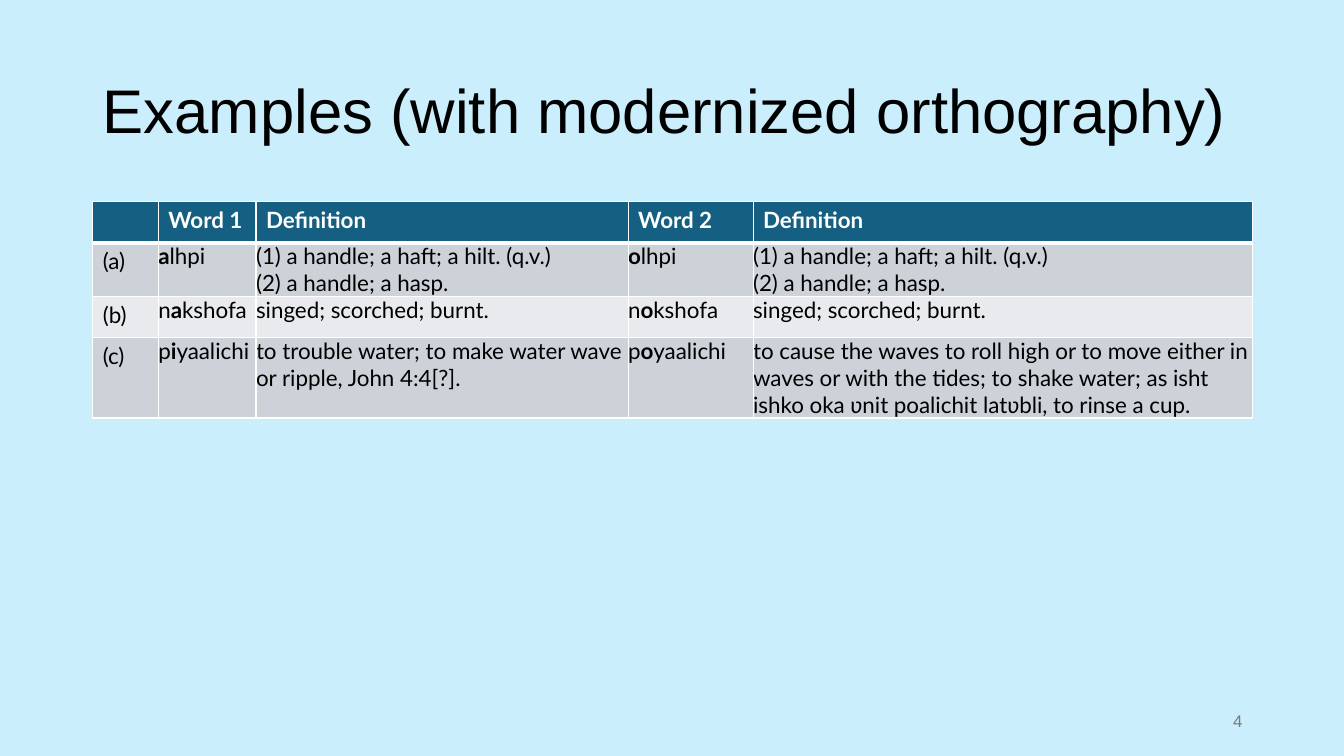
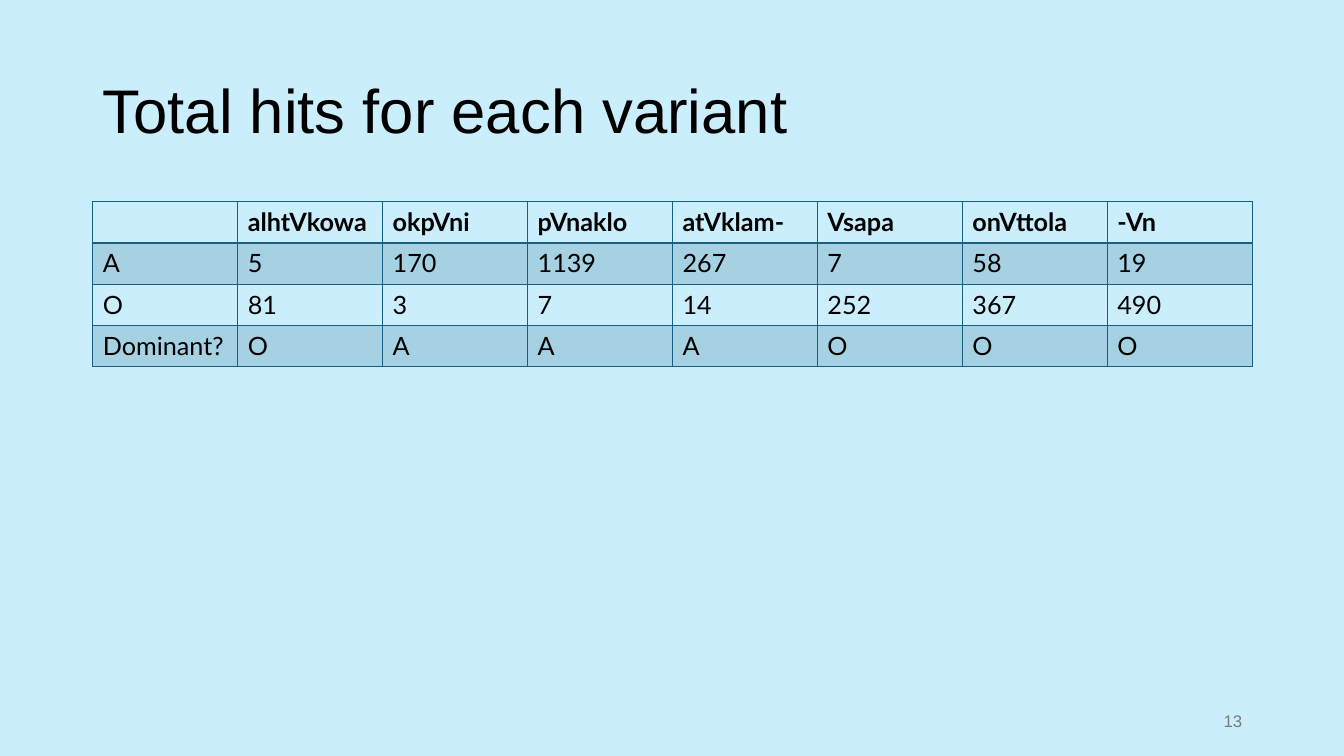
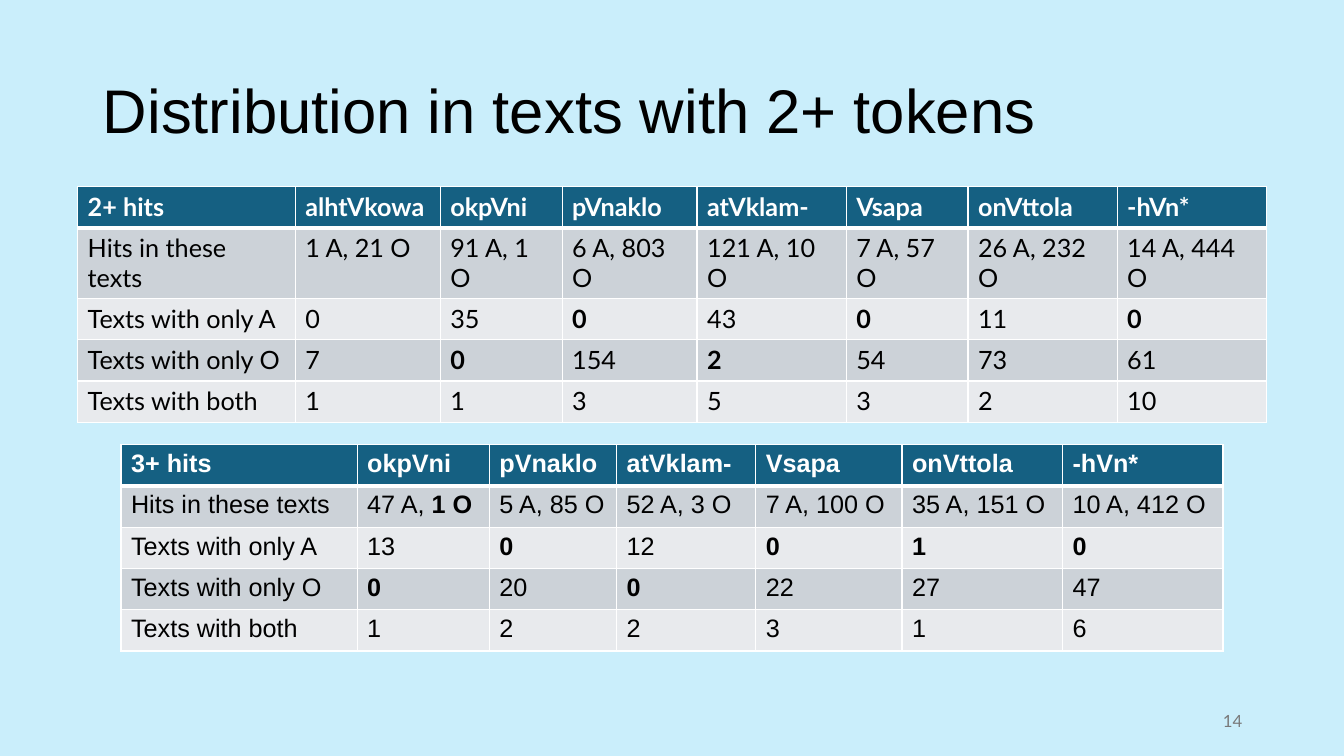
"""Builds three slides of tables on word variants and their hits."""
from lxml.etree import SubElement
from pptx import Presentation
from pptx.dml.color import RGBColor
from pptx.enum.text import MSO_ANCHOR, MSO_AUTO_SIZE, PP_ALIGN
from pptx.oxml.ns import qn
from pptx.util import Emu, Pt

EMU_PER_PX = 9144
SKY = RGBColor(0xCA, 0xEE, 0xFB)
TEAL = RGBColor(0x15, 0x60, 0x82)
BAND_DARK = RGBColor(0xCC, 0xD2, 0xD8)
BAND_LIGHT = RGBColor(0xE8, 0xEA, 0xED)
WHITE = RGBColor(0xFF, 0xFF, 0xFF)
BLACK = RGBColor(0, 0, 0)
GREY = RGBColor(0x79, 0x79, 0x79)

ROW_HEIGHT = 41
TITLE_BOX = (92, 40, 1150, 145)
NUMBER_BOX = (942, 695, 300, 40)
BOLD_MARK = "|"

FILLED = {
    "header": TEAL, "header_text": WHITE, "bands": (BAND_DARK, BAND_LIGHT),
    "alpha": None, "border": WHITE, "header_rule": 3,
}
OUTLINED = {
    "header": None, "header_text": BLACK, "bands": (TEAL, None),
    "alpha": 20, "border": TEAL, "header_rule": 2,
}

HANDLE = "(1) a handle; a haft; a hilt. (q.v.)\n(2) a handle; a hasp."
SINGED = "singed; scorched; burnt."

SLIDES = [
    {
        "title": "Examples (with modernized orthography)",
        "number": "4", "number_font": "Arial",
        "tables": [{
            "at": (92, 200), "width": 1150, "columns": [65, 97, 369, 124, 495],
            "style": FILLED, "font": "Lato", "size": 16, "flush": True,
            "rows": [
                ["", "Word 1", "Definition", "Word 2", "Definition"],
                ["(a)", "|a|lhpi", HANDLE, "|o|lhpi", HANDLE],
                ["(b)", "n|a|kshofa", SINGED, "n|o|kshofa", SINGED],
                ["(c)", "p|i|yaalichi",
                 "to trouble water; to make water wave or ripple, John 4:4[?].",
                 "p|o|yaalichi",
                 "to cause the waves to roll high or to move either in waves or "
                 "with the tides; to shake water; as isht ishko oka ʋnit "
                 "poalichit latʋbli, to rinse a cup."],
            ],
        }],
    },
    {
        "title": "Total hits for each variant",
        "number": "13", "number_font": "Arial",
        "tables": [{
            "at": (92, 200), "width": 1150, "columns": [1] * 8,
            "style": OUTLINED, "font": "Lato", "size": 18, "flush": False,
            "rows": [
                ["", "alhtVkowa", "okpVni", "pVnaklo", "atVklam-", "Vsapa", "onVttola", "-Vn"],
                ["A", "5", "170", "1139", "267", "7", "58", "19"],
                ["O", "81", "3", "7", "14", "252", "367", "490"],
                ["Dominant?", "O", "A", "A", "A", "O", "O", "O"],
            ],
        }],
    },
    {
        "title": "Distribution in texts with 2+ tokens",
        "number": "14", "number_font": "Lato",
        "tables": [
            {
                "at": (77, 185), "width": 1179,
                "columns": [216, 144, 121, 134, 148, 121, 148, 148],
                "style": FILLED, "font": "Lato", "size": 18, "flush": False,
                "rows": [
                    ["2+ hits", "alhtVkowa", "okpVni", "pVnaklo", "atVklam-", "Vsapa",
                     "onVttola", "-hVn*"],
                    ["Hits in these texts", "1 A, 21 O", "91 A, 1 O", "6 A, 803 O",
                     "121 A, 10 O", "7 A, 57 O", "26 A, 232 O", "14 A, 444 O"],
                    ["Texts with only A", "0", "35", "|0|", "43", "|0|", "11", "|0|"],
                    ["Texts with only O", "7", "|0|", "154", "|2|", "54", "73", "61"],
                    ["Texts with both", "1", "1", "3", "5", "3", "2", "10"],
                ],
            },
            {
                "at": (120, 441), "width": 1093,
                "columns": [234, 131, 126, 138, 145, 159, 159],
                "style": FILLED, "font": "Arial", "size": 18, "flush": False,
                "rows": [
                    ["3+ hits", "okpVni", "pVnaklo", "atVklam-", "Vsapa", "onVttola", "-hVn*"],
                    ["Hits in these texts", "47 A, |1 O|", "5 A, 85 O", "52 A, 3 O",
                     "7 A, 100 O", "35 A, 151 O", "10 A, 412 O"],
                    ["Texts with only A", "13", "|0|", "12", "|0|", "|1|", "|0|"],
                    ["Texts with only O", "|0|", "20", "|0|", "22", "27", "47"],
                    ["Texts with both", "1", "2", "2", "3", "1", "6"],
                ],
            },
        ],
    },
]


def px(*lengths):
    return [Emu(round(length * EMU_PER_PX)) for length in lengths]


def set_font(paragraph, name, size, color):
    paragraph.font.name = name
    paragraph.font.size = Pt(size)
    paragraph.font.color.rgb = color


def set_borders(cell, color, top, bottom):
    properties = cell._tc.get_or_add_tcPr()
    for side, width in (("L", 1), ("R", 1), ("T", top), ("B", bottom)):
        line = SubElement(properties, qn(f"a:ln{side}"), w=str(Pt(width)))
        fill = SubElement(line, qn("a:solidFill"))
        SubElement(fill, qn("a:srgbClr"), val=str(color))


def set_fill(cell, color, alpha):
    if color is None:
        cell.fill.background()
        return
    cell.fill.solid()
    cell.fill.fore_color.rgb = color
    if alpha is not None:
        color_element = cell._tc.tcPr.find(qn("a:solidFill") + "/" + qn("a:srgbClr"))
        SubElement(color_element, qn("a:alpha"), val=str(alpha * 1000))


def write_cell(cell, text, font, size, color, is_header):
    frame = cell.text_frame
    for index, line in enumerate(text.split("\n")):
        paragraph = frame.add_paragraph() if index else frame.paragraphs[0]
        set_font(paragraph, font, size, color)
        for part, piece in enumerate(line.split(BOLD_MARK)):
            if piece:
                run = paragraph.add_run()
                run.text = piece
                run.font.bold = is_header or part % 2 == 1


def add_data_table(slide, data):
    rows, columns, style = data["rows"], data["columns"], data["style"]
    box = px(*data["at"], data["width"], ROW_HEIGHT * len(rows))
    table = slide.shapes.add_table(len(rows), len(columns), *box).table
    for column, share in zip(table.columns, columns):
        column.width = px(data["width"] * share / sum(columns))[0]
    for row_index, texts in enumerate(rows):
        is_header = row_index == 0
        table.rows[row_index].height = px(ROW_HEIGHT)[0]
        fill = style["header"] if is_header else style["bands"][(row_index - 1) % 2]
        color = style["header_text"] if is_header else BLACK
        top = style["header_rule"] if row_index == 1 else 1
        bottom = style["header_rule"] if is_header else 1
        for column_index, text in enumerate(texts):
            cell = table.cell(row_index, column_index)
            set_borders(cell, style["border"], top, bottom)
            set_fill(cell, fill, style["alpha"])
            write_cell(cell, text, data["font"], data["size"], color, is_header)
            if data["flush"] and row_index and column_index:
                cell.margin_left = cell.margin_right = 0
                cell.margin_top = cell.margin_bottom = 0


def add_title(slide, text):
    title = slide.shapes.title
    title.left, title.top, title.width, title.height = px(*TITLE_BOX)
    frame = title.text_frame
    frame.text = text
    frame.auto_size = MSO_AUTO_SIZE.NONE
    frame.vertical_anchor = MSO_ANCHOR.MIDDLE
    paragraph = frame.paragraphs[0]
    paragraph.alignment = PP_ALIGN.LEFT
    paragraph.line_spacing = 0.9
    set_font(paragraph, "Arial", 44, BLACK)


def add_number(slide, text, font):
    frame = slide.shapes.add_textbox(*px(*NUMBER_BOX)).text_frame
    frame.text = text
    frame.word_wrap = True
    frame.vertical_anchor = MSO_ANCHOR.MIDDLE
    paragraph = frame.paragraphs[0]
    paragraph.alignment = PP_ALIGN.RIGHT
    set_font(paragraph, font, 12, GREY)


def main():
    presentation = Presentation()
    presentation.slide_width, presentation.slide_height = px(1333, 750)
    background = presentation.slide_master.background.fill
    background.solid()
    background.fore_color.rgb = SKY
    for content in SLIDES:
        slide = presentation.slides.add_slide(presentation.slide_layouts[5])
        add_title(slide, content["title"])
        for data in content["tables"]:
            add_data_table(slide, data)
        add_number(slide, content["number"], content["number_font"])
    presentation.save("out.pptx")


if __name__ == "__main__":
    main()
